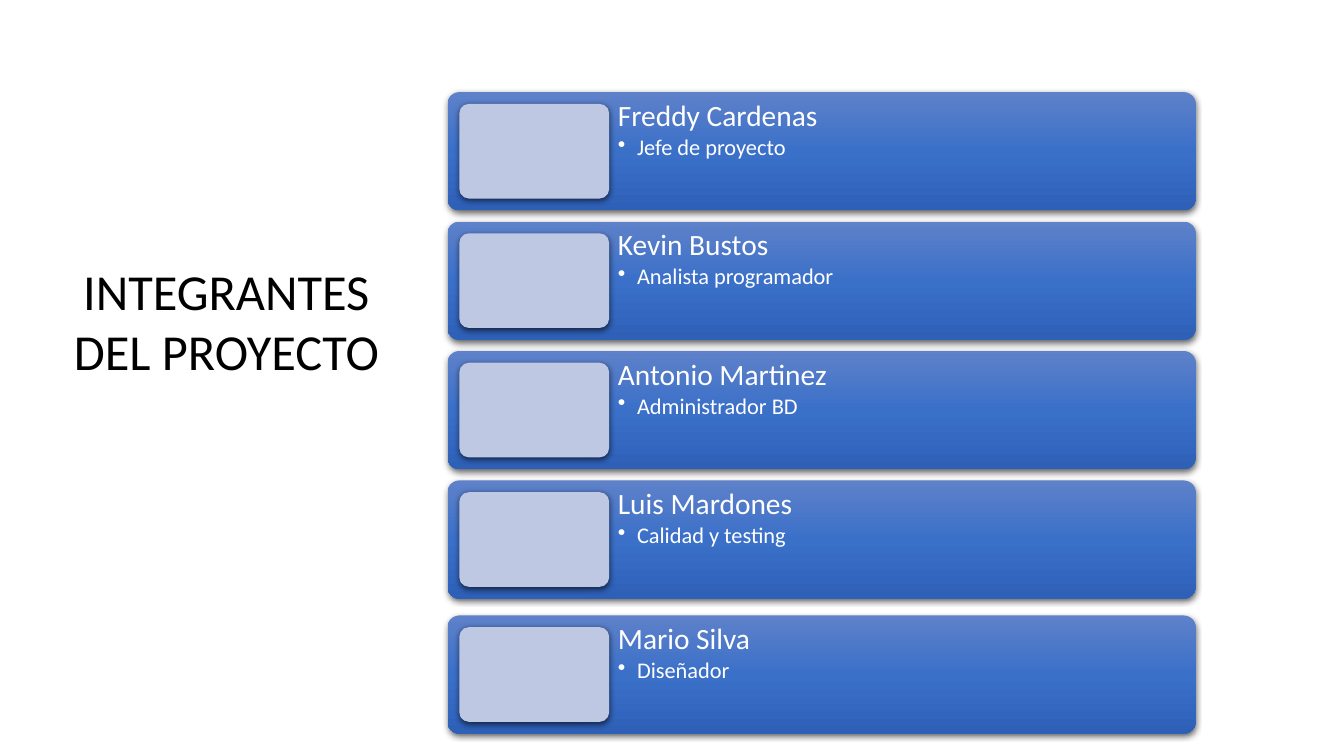
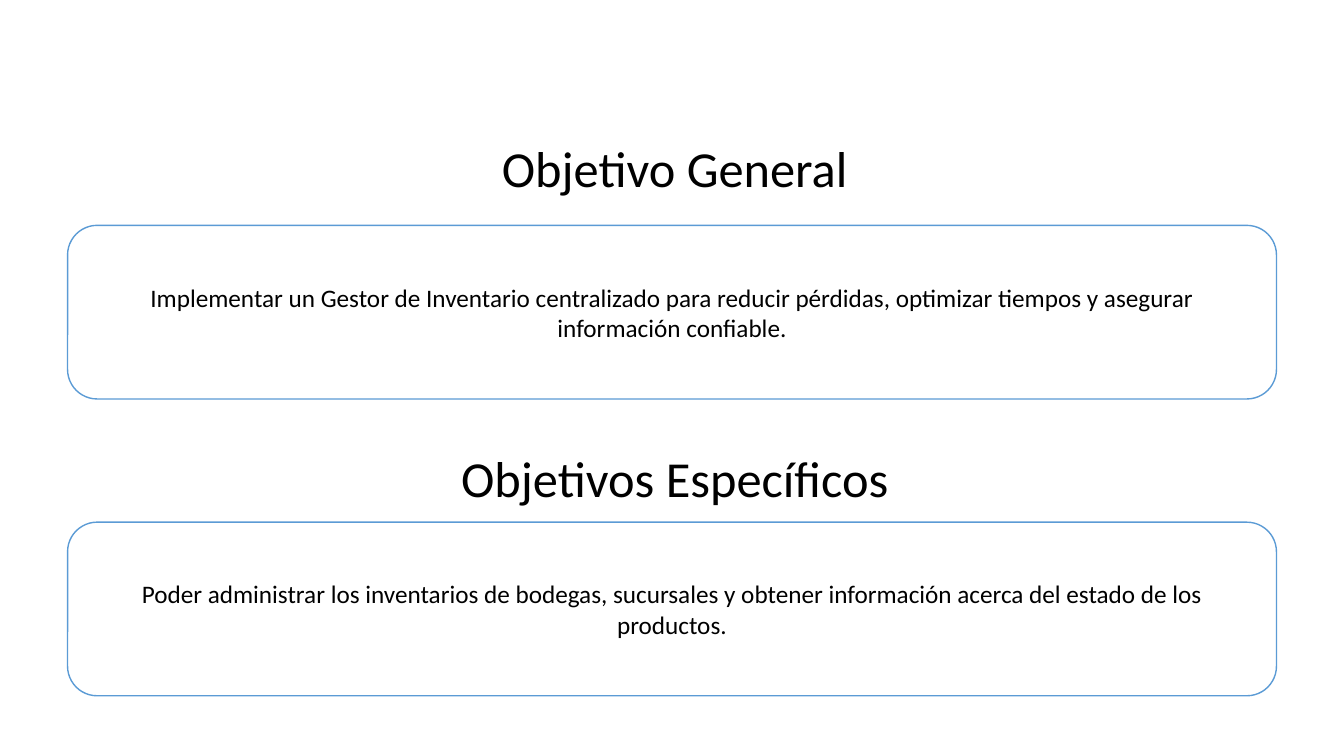
from dataclasses import dataclass

from lxml import etree
from pptx import Presentation
from pptx.dml.color import RGBColor
from pptx.enum.shapes import MSO_SHAPE
from pptx.enum.text import MSO_ANCHOR, MSO_AUTO_SIZE, PP_ALIGN
from pptx.oxml.ns import qn
from pptx.util import Pt

ROUNDED = MSO_SHAPE.ROUNDED_RECTANGLE
CENTER, LEFT = PP_ALIGN.CENTER, PP_ALIGN.LEFT
TOP, MIDDLE = MSO_ANCHOR.TOP, MSO_ANCHOR.MIDDLE
NO_FIT = MSO_AUTO_SIZE.NONE
TITLE_ONLY = 5


@dataclass(frozen=True)
class Theme:
    font: str = "Calibri"
    ink: str = "000000"
    paper: str = "FFFFFF"
    outline: str = "5B9BD5"
    photo: str = "BFC8E3"
    bar: tuple = ((0, "5E81C9"), (50, "3B70C9"), (100, "2E60B8"))
    title: int = 36
    name: int = 21
    body: int = 18
    role: int = 16


THEME = Theme()


def add_text(sp, text, size, color=THEME.ink, align=CENTER, anchor=TOP,
             inset=(7.2, 3.6), spacing=1.0, before=0, bullet=False, new=False):
    """Write one paragraph; new=True adds it after those already there."""
    tf = sp.text_frame
    tf.word_wrap, tf.auto_size, tf.vertical_anchor = True, NO_FIT, anchor
    tf.margin_left = tf.margin_right = Pt(inset[0])
    tf.margin_top = tf.margin_bottom = Pt(inset[1])
    p = tf.add_paragraph() if new else tf.paragraphs[0]
    p.alignment, p.line_spacing, p.space_before = align, spacing, Pt(before)
    r = p.add_run()
    r.text = text
    r.font.name, r.font.size = THEME.font, Pt(size)
    r.font.color.rgb = RGBColor.from_string(color)
    if bullet:
        p.level = 1
        pPr = p._p.get_or_add_pPr()
        pPr.set("marL", str(Pt(13.7)))
        pPr.set("indent", str(Pt(-13.7)))
        etree.SubElement(pPr, qn("a:buChar"), char="•")


def add_card(s, box, fill, radius, line=None, shadow=False):
    """Add a rounded box; fill is one colour or a tuple of gradient stops."""
    sp = s.shapes.add_shape(ROUNDED, *map(Pt, box))
    sp.adjustments[0] = radius
    sp.shadow.inherit = False
    spPr = sp._element.spPr
    if isinstance(fill, str):
        sp.fill.solid()
        sp.fill.fore_color.rgb = RGBColor.from_string(fill)
    else:
        sp.fill.gradient()
        sp.fill.gradient_angle = 270
        stops = spPr.find(qn("a:gradFill")).find(qn("a:gsLst"))
        for old in list(stops):
            stops.remove(old)
        for pos, color in fill:
            stop = etree.SubElement(stops, qn("a:gs"), pos=str(pos * 1000))
            etree.SubElement(stop, qn("a:srgbClr"), val=color)
    if line:
        sp.line.color.rgb = RGBColor.from_string(line)
        sp.line.width = Pt(1)
    else:
        sp.line.fill.background()
    if shadow:
        outer = etree.SubElement(
            spPr.find(qn("a:effectLst")), qn("a:outerShdw"), blurRad=str(Pt(4.5)),
            dist=str(Pt(1.5)), dir="5400000", algn="ctr", rotWithShape="0")
        black = etree.SubElement(outer, qn("a:srgbClr"), val=THEME.ink)
        etree.SubElement(black, qn("a:alpha"), val="62000")
    return sp


prs = Presentation()
prs.slide_width, prs.slide_height = Pt(960), Pt(540)
layout = prs.slide_layouts[TITLE_ONLY]

# Slide 1: project members
s = prs.slides.add_slide(layout)
title = s.shapes.title
title.left, title.top, title.width, title.height = map(Pt, (44, 182, 235.5, 94.5))
add_text(title, "INTEGRANTES DEL PROYECTO", THEME.title)

members = [
    ("Freddy Cardenas", "Jefe de proyecto"),
    ("Kevin Bustos", "Analista programador"),
    ("Antonio Martinez", "Administrador BD"),
    ("Luis Mardones", "Calidad y testing"),
    ("Mario Silva", "Diseñador"),
]
bar_left, bar_top, bar_width, bar_height = 319.7, 65.8, 534.3, 84.4
pitch, last_gap, pad = 92.45, 4, 8.4
photo_width = 107
text_left = bar_left + pad + photo_width

for i, (name, role) in enumerate(members):
    top = bar_top + i * pitch + (last_gap if i == len(members) - 1 else 0)
    add_card(s, (bar_left, top, bar_width, bar_height), THEME.bar, 0.1, shadow=True)
    add_card(s, (bar_left + pad, top + pad, photo_width, bar_height - 2 * pad),
             THEME.photo, 0.1, shadow=True)
    label = s.shapes.add_textbox(
        Pt(text_left), Pt(top), Pt(bar_left + bar_width - text_left), Pt(bar_height))
    style = dict(color=THEME.paper, align=LEFT, inset=(6.3, 6.3), spacing=0.9)
    add_text(label, name, THEME.name, **style)
    add_text(label, role, THEME.role, before=2.4, bullet=True, new=True, **style)

# Slide 2: objectives
s = prs.slides.add_slide(layout)
objectives = [
    ("Objetivo General", 94.5, 161,
     "Implementar un Gestor de Inventario centralizado para reducir pérdidas, "
     "optimizar tiempos y asegurar información confiable."),
    ("Objetivos Específicos", 316, 373,
     "Poder administrar los inventarios de bodegas, sucursales y obtener "
     "información acerca del estado de los productos."),
]
for i, (heading, heading_top, card_top, text) in enumerate(objectives):
    box = [Pt(v) for v in (12, heading_top, 940, 51)]
    if i == 0:
        sp = s.shapes.title
        sp.left, sp.top, sp.width, sp.height = box
    else:
        sp = s.shapes.add_textbox(*box)
    add_text(sp, heading, THEME.title)
    card = add_card(s, (48.3, card_top, 863.5, 124), THEME.paper, 0.17, line=THEME.outline)
    add_text(card, text, THEME.body, anchor=MIDDLE)

prs.save("out.pptx")
